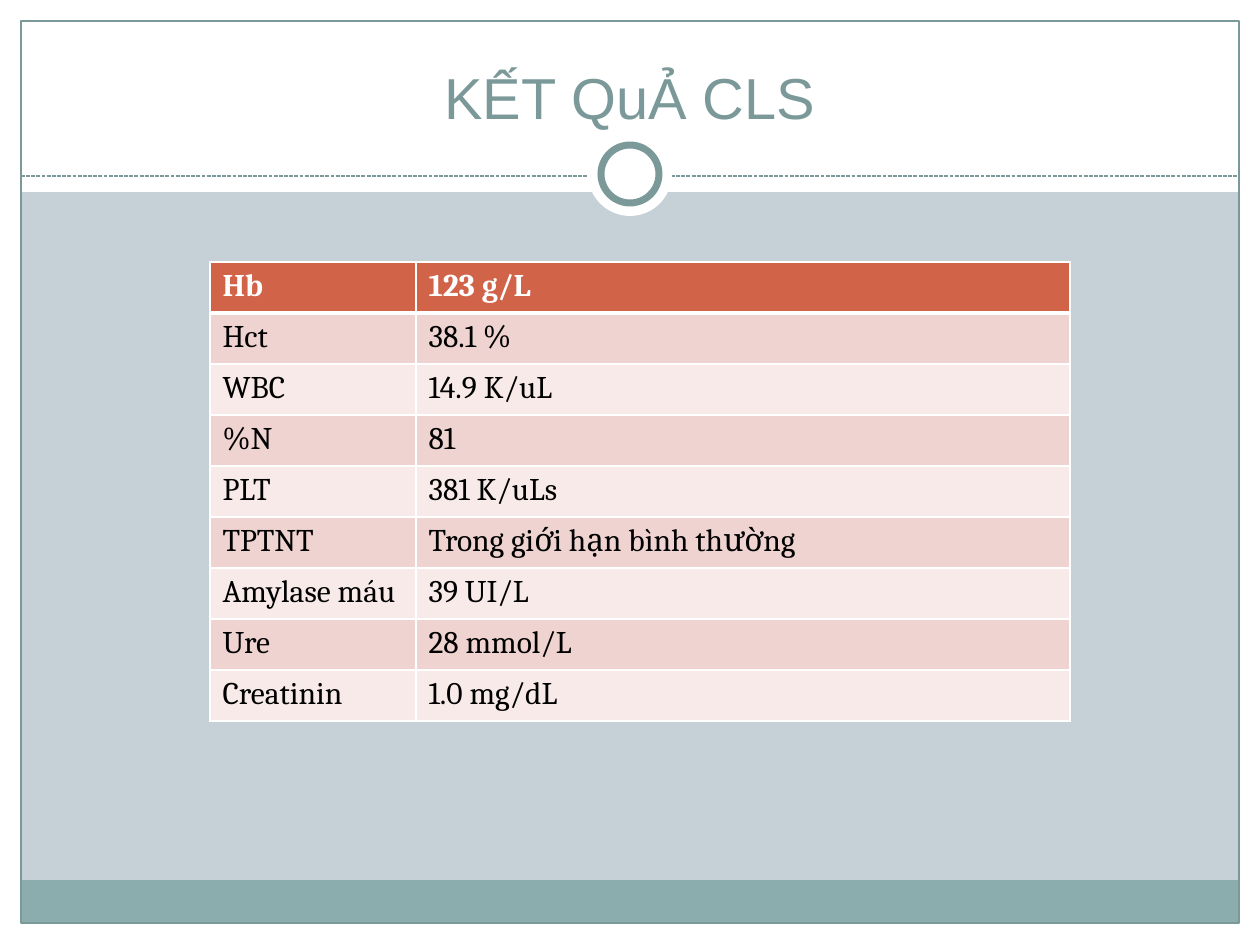
"""Build the laboratory results slide."""
from dataclasses import dataclass
from typing import Optional

import lxml.etree
import pptx
import pptx.dml.color
import pptx.enum.dml
import pptx.enum.shapes
import pptx.enum.text
import pptx.oxml.ns
import pptx.util

RGBColor = pptx.dml.color.RGBColor
MSO_SHAPE = pptx.enum.shapes.MSO_SHAPE
qn = pptx.oxml.ns.qn

WHITE = RGBColor(0xFF, 0xFF, 0xFF)
BLACK = RGBColor(0x00, 0x00, 0x00)
BACKGROUND = RGBColor(0xC5, 0xD1, 0xD7)
TEAL = RGBColor(0x7C, 0x99, 0x9A)
FOOTER = RGBColor(0x8C, 0xAD, 0xAE)
HEADER = RGBColor(0xD1, 0x63, 0x49)
BANDS = (RGBColor(0xF7, 0xEA, 0xE9), RGBColor(0xEE, 0xD3, 0xD0))

PX_PER_INCH = 126
WIDTH, HEIGHT = 1260, 945
ROW_HEIGHT = 51
COLUMN_WIDTHS = (206, 654)


@dataclass(frozen=True)
class Panel:
    left: int
    top: int
    width: int
    height: int
    fill: Optional[RGBColor] = WHITE
    line_pt: float = 0
    kind: MSO_SHAPE = MSO_SHAPE.RECTANGLE


@dataclass(frozen=True)
class Result:
    test: str
    value: str


MARGINS = (
    Panel(0, 924, WIDTH, 21),
    Panel(0, 0, WIDTH, 192),
    Panel(0, 0, 21, HEIGHT),
    Panel(1239, 0, 21, HEIGHT),
    Panel(21, 880, 1218, 43, FOOTER),
    Panel(21, 21, 1218, 902, None, 0.75),
)
RINGS = (
    Panel(588, 132, 84, 84, kind=MSO_SHAPE.OVAL),
    Panel(601, 145, 58, 58, line_pt=4, kind=MSO_SHAPE.OVAL),
)
RESULTS = (
    Result("Hb", "123 g/L"),
    Result("Hct", "38.1 %"),
    Result("WBC", "14.9 K/uL"),
    Result("%N", "81"),
    Result("PLT", "381 K/uLs"),
    Result("TPTNT", "Trong giới hạn bình thường"),
    Result("Amylase máu", "39 UI/L"),
    Result("Ure", "28 mmol/L"),
    Result("Creatinin", "1.0 mg/dL"),
)


def px(n: int) -> pptx.util.Emu:
    return pptx.util.Emu(round(n * 914400 / PX_PER_INCH))


def add_run(p, text: str, font: str, size: int, color: RGBColor, bold: bool = False) -> None:
    r = p.add_run()
    r.text = text
    r.font.name = font
    r.font.size = pptx.util.Pt(size)
    r.font.bold = bold
    r.font.color.rgb = color


def add_panel(s, panel: Panel) -> None:
    sp = s.shapes.add_shape(panel.kind, px(panel.left), px(panel.top),
                            px(panel.width), px(panel.height))
    sp.shadow.inherit = False
    if panel.fill is None:
        sp.fill.background()
    else:
        sp.fill.solid()
        sp.fill.fore_color.rgb = panel.fill
    if panel.line_pt:
        sp.line.color.rgb = TEAL
        sp.line.width = pptx.util.Pt(panel.line_pt)
    else:
        sp.line.fill.background()


def add_divider(s) -> None:
    line = s.shapes.add_connector(pptx.enum.shapes.MSO_CONNECTOR.STRAIGHT,
                                  px(21), px(176), px(1239), px(176))
    line.line.color.rgb = TEAL
    line.line.width = pptx.util.Pt(0.75)
    line.line.dash_style = pptx.enum.dml.MSO_LINE.SQUARE_DOT
    sp_pr = line.element.find(qn("p:spPr"))
    lxml.etree.SubElement(sp_pr, qn("a:effectLst"))


def set_title(s, text: str) -> None:
    sp = s.shapes.title
    sp.element.getparent().append(sp.element)
    sp.left, sp.top, sp.width, sp.height = px(42), px(32), px(1176), px(105)
    tf = sp.text_frame
    tf.word_wrap = True
    tf.vertical_anchor = pptx.enum.text.MSO_ANCHOR.BOTTOM
    p = tf.paragraphs[0]
    p.alignment = pptx.enum.text.PP_ALIGN.CENTER
    add_run(p, text, "Arial", 33, TEAL)


def set_borders(cell, top_pt: int, bottom_pt: int) -> None:
    tc_pr = cell._tc.get_or_add_tcPr()
    widths = {"lnL": 1, "lnR": 1, "lnT": top_pt, "lnB": bottom_pt}
    for i, (side, width) in enumerate(widths.items()):
        ln = lxml.etree.Element(qn(f"a:{side}"), w=str(pptx.util.Pt(width)))
        fill = lxml.etree.SubElement(ln, qn("a:solidFill"))
        lxml.etree.SubElement(fill, qn("a:srgbClr"), val=str(WHITE))
        tc_pr.insert(i, ln)


def add_results(s, results: tuple[Result, ...]) -> None:
    table = s.shapes.add_table(len(results), len(COLUMN_WIDTHS), px(210), px(262),
                               px(sum(COLUMN_WIDTHS)), px(ROW_HEIGHT * len(results))).table
    for column, width in zip(table.columns, COLUMN_WIDTHS):
        column.width = px(width)
    for i, result in enumerate(results):
        table.rows[i].height = px(ROW_HEIGHT)
        is_header = i == 0
        for j, text in enumerate((result.test, result.value)):
            cell = table.cell(i, j)
            cell.fill.solid()
            cell.fill.fore_color.rgb = HEADER if is_header else BANDS[i % 2]
            set_borders(cell, 3 if i == 1 else 1, 3 if is_header else 1)
            add_run(cell.text_frame.paragraphs[0], text, "Cambria", 18,
                    WHITE if is_header else BLACK, is_header)


def main() -> None:
    prs = pptx.Presentation()
    prs.slide_width, prs.slide_height = px(WIDTH), px(HEIGHT)
    s = prs.slides.add_slide(prs.slide_layouts[5])
    s.background.fill.solid()
    s.background.fill.fore_color.rgb = BACKGROUND
    for panel in MARGINS:
        add_panel(s, panel)
    add_divider(s)
    for ring in RINGS:
        add_panel(s, ring)
    set_title(s, "KẾT QuẢ CLS")
    add_results(s, RESULTS)
    prs.save("out.pptx")


if __name__ == "__main__":
    main()
